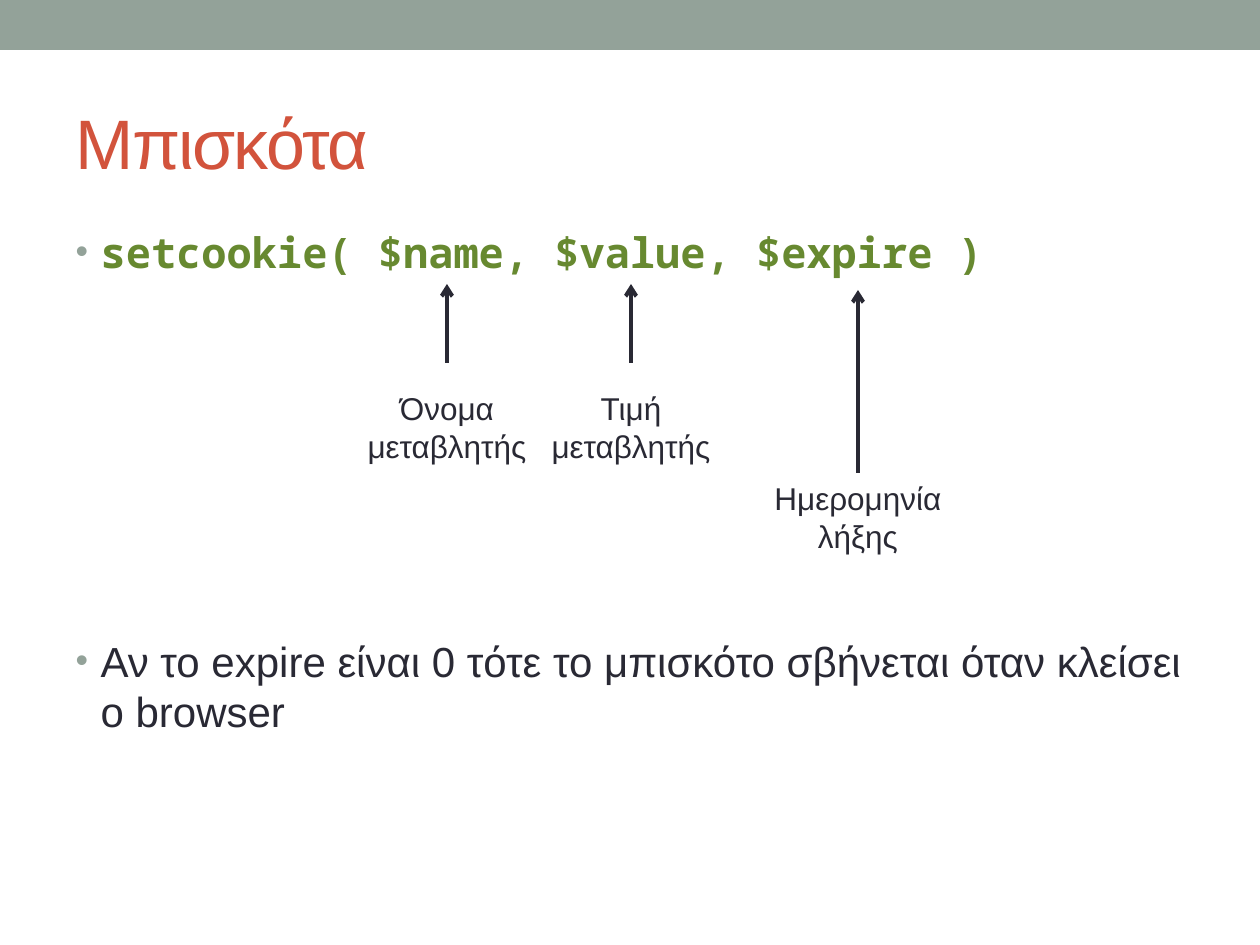
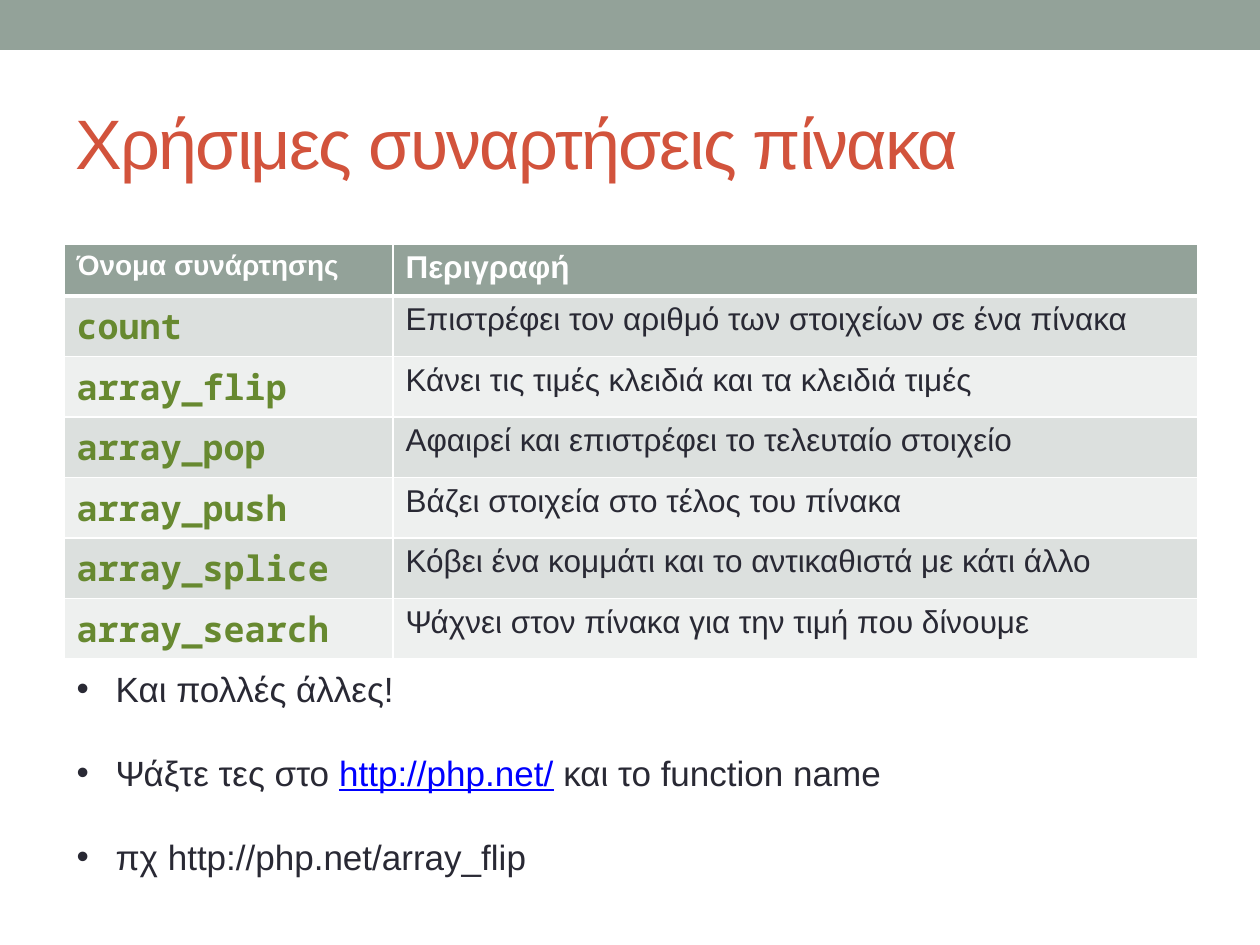
"""Build two slides on cookies and array functions in PHP."""
from dataclasses import dataclass

from lxml.etree import SubElement
from pptx import Presentation
from pptx.dml.color import RGBColor as Rgb
from pptx.enum.shapes import MSO_CONNECTOR as Connector, MSO_SHAPE as Shape
from pptx.enum.text import MSO_ANCHOR as Anchor, MSO_AUTO_SIZE as AutoSize, PP_ALIGN as Align
from pptx.oxml.ns import qn
from pptx.util import Emu, Pt


@dataclass(frozen=True)
class Theme:
    sage: str = "93A299"
    rust: str = "D2533C"
    ink: str = "292934"
    code: str = "678930"
    link: str = "0000FF"
    white: str = "FFFFFF"
    stripes: tuple = ("EEF0EF", "DCE0DE")
    sans: str = "Arial"
    mono: str = "Noto Sans Mono"
    title: int = 40
    lead: int = 24
    list: int = 20
    text: int = 18
    small: int = 16


theme = Theme()


def px(length):
    return Emu(round(length * 914400 / 126))


def write(para, text, size=theme.text, color=theme.ink, font=theme.sans,
          bold=False, underline=False, align=Align.LEFT):
    para.alignment = align
    span = para.add_run()
    span.text = text
    span.font.size = Pt(size)
    span.font.name = font
    span.font.bold = bold
    span.font.underline = underline
    span.font.color.rgb = Rgb.from_string(color)


deck = Presentation()
deck.slide_width, deck.slide_height = px(1260), px(945)
pages = []

for heading, body_area in [
    ("Μπισκότα", (63, 220, 1134, 672)),
    ("Χρήσιμες συναρτήσεις πίνακα", (64, 661, 1132, 224)),
]:
    page = deck.slides.add_slide(deck.slide_layouts[1])
    title, body = page.placeholders
    for box, area in [(title, (63, 73, 1134, 136)), (body, body_area)]:
        box.left, box.top, box.width, box.height = map(px, area)
        box.text_frame.auto_size = AutoSize.NONE
        box.text_frame.word_wrap = True
    title.text_frame.vertical_anchor = Anchor.MIDDLE
    write(title.text_frame.paragraphs[0], heading, size=theme.title, color=theme.rust)
    for props in title.element.iter(qn("a:rPr")):
        props.set("spc", "-100")
    pages.append((page, body))

(cookie_page, cookie_list), (array_page, array_list) = pages

band = cookie_page.shapes.add_shape(Shape.RECTANGLE, 0, 0, deck.slide_width, px(50))
band.shadow.inherit = False
band.fill.solid()
band.fill.fore_color.rgb = Rgb.from_string(theme.sage)
band.line.fill.background()
next(band.element.iter(qn("p:cNvPr"))).set("id", "99")
deck.slide_master.shapes.element.insert(2, band.element)

frame = cookie_list.text_frame
write(frame.paragraphs[0], "setcookie( $name, $value, $expire )",
      size=theme.lead, color=theme.code, font=theme.mono, bold=True)
para = frame.add_paragraph()
para.space_before = Pt(205)
write(para, "Αν το expire είναι 0 τότε το μπισκότο σβήνεται όταν κλείσει ο browser",
      size=theme.lead)

for label, center, tip, tail, label_top, width in [
    ("Όνομα μεταβλητής", 447, 284, 363, 383, 185),
    ("Τιμή μεταβλητής", 631, 284, 363, 383, 185),
    ("Ημερομηνία λήξης", 858, 290, 473, 473, 203),
]:
    arrow = cookie_page.shapes.add_connector(
        Connector.STRAIGHT, px(center), px(tail), px(center), px(tip))
    arrow.line.color.rgb = Rgb.from_string(theme.ink)
    arrow.line.width = Pt(2.25)
    SubElement(next(arrow.element.iter(qn("a:ln"))), qn("a:tailEnd"), type="arrow")
    SubElement(next(arrow.element.iter(qn("p:spPr"))), qn("a:effectLst"))
    box = cookie_page.shapes.add_textbox(
        px(center - width / 2), px(label_top), px(width), px(89))
    box.text_frame.word_wrap = True
    write(box.text_frame.paragraphs[0], label, align=Align.CENTER)

functions = [
    ("Όνομα συνάρτησης", "Περιγραφή"),
    ("count", "Επιστρέφει τον αριθμό των στοιχείων σε ένα πίνακα"),
    ("array_flip", "Κάνει τις τιμές κλειδιά και τα κλειδιά τιμές"),
    ("array_pop", "Αφαιρεί και επιστρέφει το τελευταίο στοιχείο"),
    ("array_push", "Βάζει στοιχεία στο τέλος του πίνακα"),
    ("array_splice", "Κόβει ένα κομμάτι και το αντικαθιστά με κάτι άλλο"),
    ("array_search", "Ψάχνει στον πίνακα για την τιμή που δίνουμε"),
]
header_formats = [
    dict(size=theme.small, color=theme.white, bold=True),
    dict(color=theme.white, bold=True),
]
row_formats = [
    dict(size=theme.list, color=theme.code, font=theme.mono, bold=True),
    dict(),
]
grid = array_page.shapes.add_table(
    len(functions), 2, px(64), px(244), px(1134), px(52 * len(functions)))
for column, width in zip(grid.table.columns, (329, 805)):
    column.width = px(width)
for row, texts in enumerate(functions):
    formats = row_formats if row else header_formats
    for column, text in enumerate(texts):
        cell = grid.table.cell(row, column)
        cell.fill.solid()
        cell.fill.fore_color.rgb = Rgb.from_string(
            theme.stripes[row % 2] if row else theme.sage)
        write(cell.text_frame.paragraphs[0], text, **formats[column])

for index, props in enumerate(grid.element.iter(qn("a:tcPr"))):
    row = index // 2
    widths = {"lnL": 1, "lnR": 1, "lnT": 3 if row == 1 else 1, "lnB": 1 if row else 3}
    for place, (side, width) in enumerate(widths.items()):
        border = SubElement(props, qn(f"a:{side}"), w=str(Pt(width)))
        paint = SubElement(border, qn("a:solidFill"))
        SubElement(paint, qn("a:srgbClr"), val=theme.white)
        props.insert(place, border)

for index, spans in enumerate([
    [("Και πολλές άλλες!", {})],
    [("Ψάξτε τες στο ", {}),
     ("http://php.net/", dict(color=theme.link, underline=True)),
     (" και το function name", {})],
    [("πχ http://php.net/array_flip", {})],
]):
    frame = array_list.text_frame
    para = frame.add_paragraph() if index else frame.paragraphs[0]
    para.space_before = Pt(24 if index else 0)
    for text, style in spans:
        write(para, text, size=theme.list, **style)

for box, indent, color, percent in [
    (cookie_list, 25, theme.sage, 85),
    (array_list, 39, theme.ink, 100),
]:
    for props in box.element.iter(qn("a:pPr")):
        props.set("marL", str(px(indent)))
        props.set("indent", str(px(-indent)))
        SubElement(SubElement(props, qn("a:buClr")), qn("a:srgbClr"), val=color)
        SubElement(props, qn("a:buSzPct"), val=str(percent * 1000))
        SubElement(props, qn("a:buFont"), typeface=theme.sans)
        SubElement(props, qn("a:buChar"), char="•")

deck.save("out.pptx")
